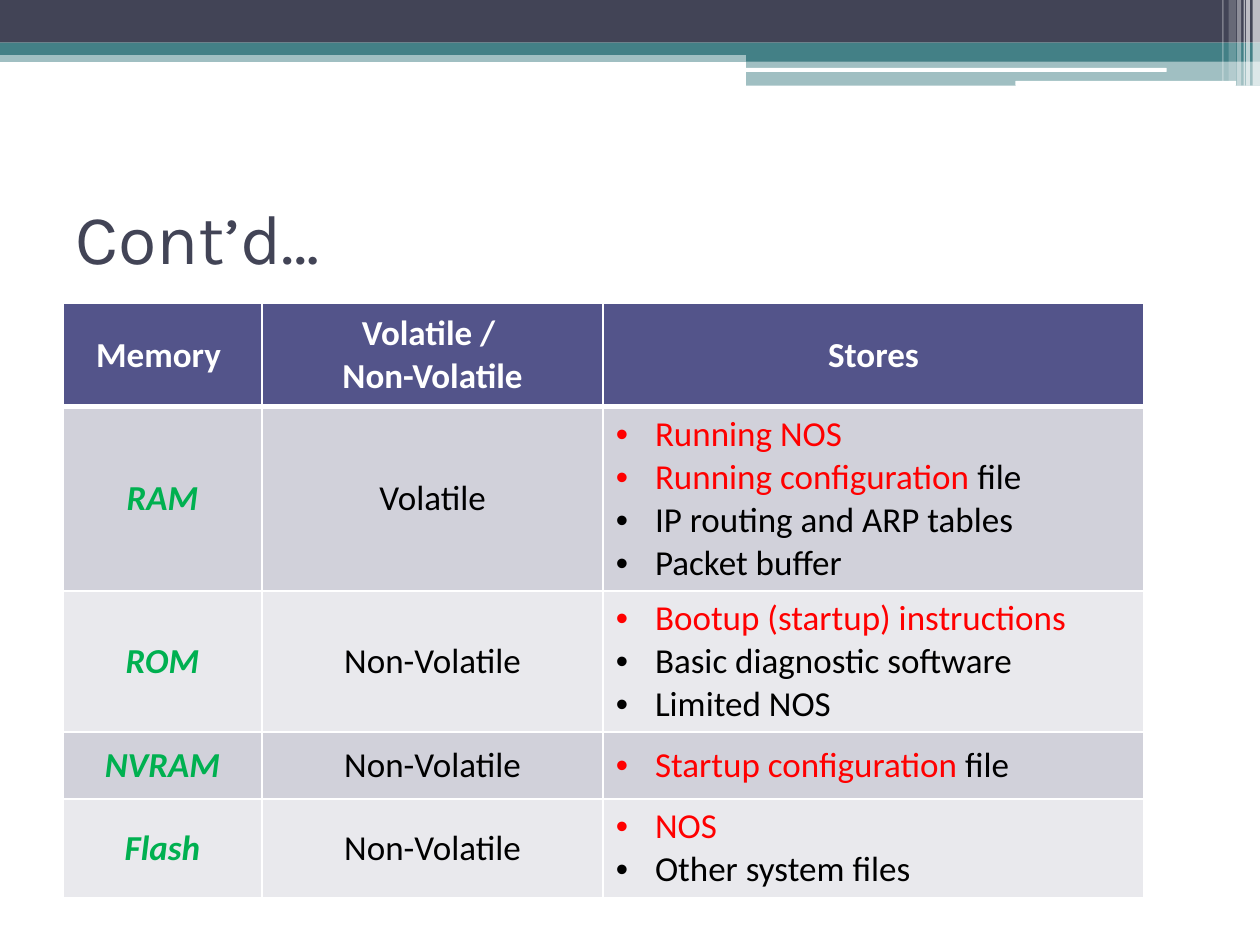
import pptx
import pptx.util
import pptx.dml.color
import pptx.enum.shapes
import pptx.enum.text
import pptx.oxml.ns
from lxml import etree
from dataclasses import dataclass

Cm = pptx.util.Cm
Pt = pptx.util.Pt
RGB = pptx.dml.color.RGBColor.from_string
MSO = pptx.enum.shapes.MSO_SHAPE
ANCHOR = pptx.enum.text.MSO_ANCHOR
ALIGN = pptx.enum.text.PP_ALIGN
qn = pptx.oxml.ns.qn


@dataclass(frozen=True)
class Theme:
    navy: str = "424456"
    teal: str = "438086"
    white: str = "FFFFFF"
    black: str = "000000"
    red: str = "FF0000"
    green: str = "00B050"
    head: str = "53548A"
    bands: tuple = ("D1D1DA", "E9E9ED")
    title_font: str = "Karla"
    body_font: str = "Calibri"
    title_size: int = 40
    body_size: int = 20
    line: int = 1
    head_line: int = 3


T = Theme()

WIDE_BANDS = [
    (0, 1.02, 25.4, 0.23, T.teal, 50),
    (0, 0, 25.4, 0.86, T.navy, 100),
    (0, 0.86, 25.4, 0.25, T.teal, 100),
    (15.04, 0.99, 10.36, 0.25, T.teal, 100),
    (15.04, 1.22, 10.36, 0.51, T.teal, 50),
]
WHITE_RULES = [(15.01, 1.37, 8.51, 0.08), (20.47, 1.63, 4.45, 0.1)]
STRIPES = [
    (25.25, 0.15, 1.73, 65),
    (25.12, 0.08, 1.73, 65),
    (25.07, 0.03, 1.73, 60),
    (24.94, 0.08, 1.73, 40),
    (24.77, 0.15, 1.63, 20),
    (24.64, 0.03, 1.63, 30),
]

COLS = [4.01, 6.88, 10.9]
ROWS = [2.08, 3.4, 2.64, 1.35, 1.85]
HEADINGS = [["Memory "], ["Volatile / ", "Non-Volatile"], ["Stores"]]
MEMORIES = [
    ("RAM", "Volatile", [
        ("Running NOS", ""),
        ("Running configuration ", "file"),
        ("", "IP routing and ARP tables"),
        ("", "Packet buffer"),
    ]),
    ("ROM", "Non-Volatile", [
        ("Bootup (startup) instructions", ""),
        ("", "Basic diagnostic software"),
        ("", "Limited NOS"),
    ]),
    ("NVRAM", "Non-Volatile", [("Startup configuration ", "file")]),
    ("Flash", "Non-Volatile", [("NOS", ""), ("", "Other system files")]),
]


def set_attrs(obj, values):
    for name, value in values.items():
        setattr(obj, name, value)


def add_run(p, text, color, **fmt):
    r = p.add_run()
    r.text = text
    set_attrs(r.font, {"name": T.body_font, "size": Pt(T.body_size), **fmt})
    r.font.color.rgb = RGB(color)


def add_bar(s, kind, box, color, opacity=100):
    sp = s.shapes.add_shape(kind, *map(Cm, box))
    sp.shadow.inherit = False
    sp.line.fill.background()
    sp.fill.solid()
    sp.fill.fore_color.rgb = RGB(color)
    if opacity < 100:
        clr = sp.fill._xPr.find(".//" + qn("a:srgbClr"))
        etree.SubElement(clr, qn("a:alpha"), val=str(opacity * 1000))


def add_header_bars(s, x, y):
    for left, top, w, h, color, opacity in WIDE_BANDS:
        add_bar(s, MSO.RECTANGLE, (x + left, y + top, w, h), color, opacity)
    for left, top, w, h in WHITE_RULES:
        add_bar(s, MSO.ROUNDED_RECTANGLE, (x + left, y + top, w, h), T.white)
    for left, w, h, opacity in STRIPES:
        add_bar(s, MSO.RECTANGLE, (x + left, y, w, h), T.white, opacity)


def add_title(s, x, y, w, h, text):
    sp = s.shapes.title
    set_attrs(sp, {"left": Cm(x), "top": Cm(y), "width": Cm(w), "height": Cm(h)})
    tf = sp.text_frame
    set_attrs(tf, {"vertical_anchor": ANCHOR.MIDDLE, "word_wrap": True})
    p = tf.paragraphs[0]
    p.alignment = ALIGN.LEFT
    add_run(p, text, T.navy, name=T.title_font, size=Pt(T.title_size))


def add_bullet(p):
    pPr = p._p.get_or_add_pPr()
    indent = Cm(0.79)
    pPr.set("marL", str(indent))
    pPr.set("indent", str(-indent))
    etree.SubElement(pPr, qn("a:buFont"), typeface="Arial")
    etree.SubElement(pPr, qn("a:buChar"), char="•")


def style_cell(cell, row, color):
    cell.vertical_anchor = ANCHOR.MIDDLE
    tcPr = cell._tc.get_or_add_tcPr()
    widths = {"L": T.line, "R": T.line,
              "T": T.head_line if row == 1 else T.line,
              "B": T.head_line if row == 0 else T.line}
    for side, width in widths.items():
        ln = etree.SubElement(tcPr, qn("a:ln" + side), w=str(Pt(width)))
        fill = etree.SubElement(ln, qn("a:solidFill"))
        etree.SubElement(fill, qn("a:srgbClr"), val=T.white)
    cell.fill.solid()
    cell.fill.fore_color.rgb = RGB(color)


def fill_cell(cell, lines, bullets=False):
    tf = cell.text_frame
    for i, runs in enumerate(lines):
        p = tf.add_paragraph() if i else tf.paragraphs[0]
        if bullets:
            add_bullet(p)
        else:
            p.alignment = ALIGN.CENTER
        for text, color, fmt in runs:
            if text:
                add_run(p, text, color, **fmt)


def add_memory_table(s, x, y):
    box = map(Cm, (x, y, sum(COLS), sum(ROWS)))
    table = s.shapes.add_table(len(ROWS), len(COLS), *box).table
    for col, width in zip(table.columns, COLS):
        col.width = Cm(width)
    for row, height in zip(table.rows, ROWS):
        row.height = Cm(height)
    for i in range(len(ROWS)):
        color = T.bands[(i - 1) % 2] if i else T.head
        for j in range(len(COLS)):
            style_cell(table.cell(i, j), i, color)
    for j, lines in enumerate(HEADINGS):
        fill_cell(table.cell(0, j), [[(t, T.white, {"bold": True})] for t in lines])
    plain = {"bold": False}
    for i, (name, kind, stores) in enumerate(MEMORIES, 1):
        fill_cell(table.cell(i, 0), [[(name, T.green, {"bold": True, "italic": True})]])
        fill_cell(table.cell(i, 1), [[(kind, T.black, plain)]])
        items = [[(key, T.red, plain), (rest, T.black, plain)] for key, rest in stores]
        fill_cell(table.cell(i, 2), items, bullets=True)


def main():
    prs = pptx.Presentation()
    set_attrs(prs, {"slide_width": Cm(25.4), "slide_height": Cm(19.05)})
    s = prs.slides.add_slide(prs.slide_layouts[5])
    add_header_bars(s, 0, 0)
    add_title(s, 1.27, 3.28, 22.86, 2.97, "Cont’d…")
    add_memory_table(s, 1.27, 6.12)
    prs.save("out.pptx")


if __name__ == "__main__":
    main()
